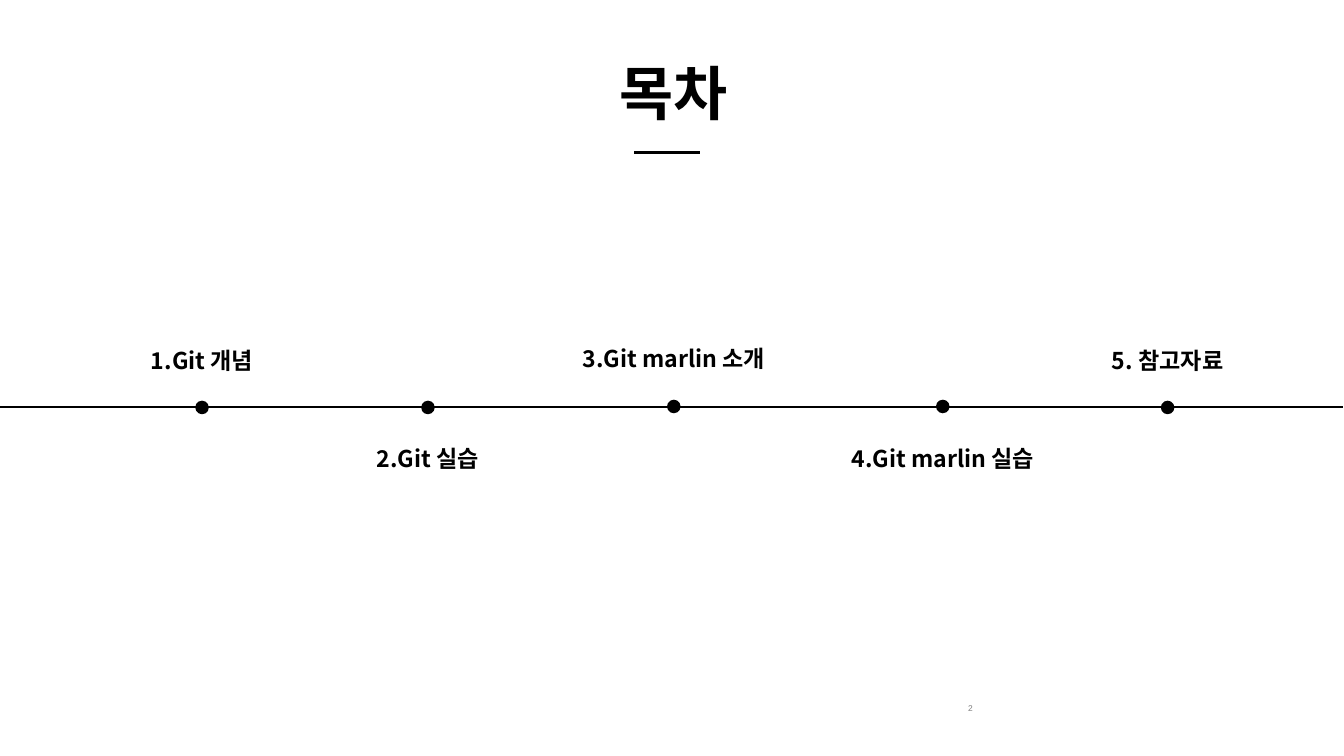
from pptx import Presentation
from pptx.dml.color import RGBColor
from pptx.enum.shapes import MSO_CONNECTOR, MSO_SHAPE
from pptx.enum.text import MSO_ANCHOR, MSO_AUTO_SIZE, PP_ALIGN
from pptx.oxml.ns import qn
from pptx.util import Pt
from lxml.etree import SubElement

BLACK = RGBColor(0, 0, 0)
GRAY = RGBColor(0x7F, 0x7F, 0x7F)
KOREAN = "Noto Sans CJK KR"
DOT = 19.4

HEAD = {"name": KOREAN, "size": Pt(84), "bold": True}
LABEL = {"name": KOREAN, "size": Pt(33), "bold": True}
NUMBER = {"name": "Arial", "size": Pt(12), "bold": False}


def write(box, text, look, color, wrap=False, **para):
    frame = box.text_frame
    frame.text = text
    frame.auto_size = MSO_AUTO_SIZE.NONE
    frame.word_wrap = wrap
    frame.vertical_anchor = MSO_ANCHOR.TOP
    line = frame.paragraphs[0]
    for key, value in para.items():
        setattr(line, key, value)
    font = line.runs[0].font
    for key, value in look.items():
        setattr(font, key, value)
    font.color.rgb = color
    # Hangul takes its font from the East Asian slot
    SubElement(line.runs[0]._r.rPr, qn("a:ea"), typeface=look["name"])


prs = Presentation()
prs.slide_width, prs.slide_height = Pt(1918.8), Pt(1080)
slide = prs.slides.add_slide(prs.slide_layouts[5])
shapes = slide.shapes

# Title
title = shapes.title
title.left, title.top, title.width, title.height = Pt(866.2), Pt(77), Pt(191.5), Pt(108.7)
write(title, "목차", HEAD, BLACK, alignment=PP_ALIGN.CENTER)

# Title rule and timeline
for left, right, y, weight in [(905.8, 999.4, 218.2, 4.5), (-1.4, 1917.4, 581.8, 3)]:
    rule = shapes.add_connector(MSO_CONNECTOR.STRAIGHT, Pt(left), Pt(y), Pt(right), Pt(y))
    rule.line.color.rgb = BLACK
    rule.line.width = Pt(weight)
    SubElement(rule._element.spPr, qn("a:effectLst"))

# Stops: text, centre, label width, label top, dot top
stops = [
    ("1.Git 개념", 288.5, 332, 504, 572.4),
    ("2.Git 실습", 611, 300, 643.7, 572.4),
    ("3.Git marlin 소개", 962, 364, 502, 571),
    ("4.Git marlin 실습", 1346, 300, 643.7, 571),
    ("5. 참고자료", 1667, 374, 504, 572.4),
]
for text, mid, width, top, level in stops:
    dot = shapes.add_shape(MSO_SHAPE.OVAL, Pt(mid - DOT / 2), Pt(level), Pt(DOT), Pt(DOT))
    dot.shadow.inherit = False
    dot.fill.solid()
    dot.fill.fore_color.rgb = BLACK
    dot.line.fill.background()
    label = shapes.add_textbox(Pt(mid - width / 2), Pt(top), Pt(width), Pt(36))
    write(label, text, LABEL, BLACK, alignment=PP_ALIGN.CENTER, line_spacing=Pt(26.7))

# Page number
page = shapes.add_textbox(Pt(1375.2), Pt(1000.8), Pt(447.8), Pt(57.6))
write(page, "2", NUMBER, GRAY, wrap=True, space_before=Pt(4.5))

prs.save("out.pptx")
